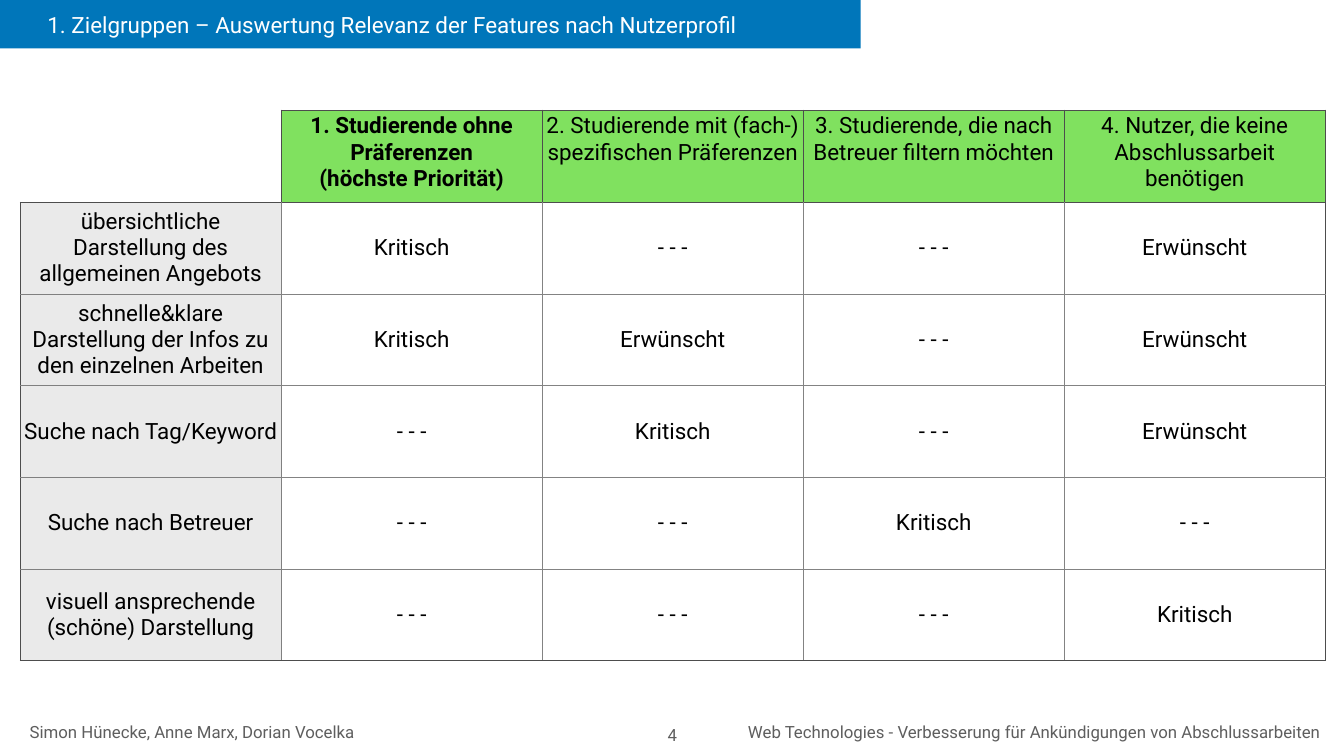
import pptx
import pptx.dml.color
import pptx.enum.shapes
import pptx.enum.text
import pptx.oxml
import pptx.oxml.ns
import pptx.util

RGBColor = pptx.dml.color.RGBColor
ALIGN = pptx.enum.text.PP_ALIGN
ANCHOR = pptx.enum.text.MSO_ANCHOR

PX = 9144
FONT = "Roboto"
BLACK = RGBColor(0x00, 0x00, 0x00)
WHITE = RGBColor(0xFF, 0xFF, 0xFF)
GREY = RGBColor(0x5E, 0x5E, 0x5E)
BLUE = RGBColor(0x00, 0x76, 0xBA)
GREEN = RGBColor(0x80, 0xE1, 0x5F)
LIGHT = RGBColor(0xEA, 0xEA, 0xEA)
DARK_EDGE = RGBColor(0x4D, 0x4D, 0x4D)
LABEL_EDGE = RGBColor(0x80, 0x80, 0x80)
BODY_EDGE = RGBColor(0x83, 0x83, 0x83)

TITLE = "1. Zielgruppen – Auswertung Relevanz der Features nach Nutzerprofil"
FOOTERS = [
    ("Simon Hünecke, Anne Marx, Dorian Vocelka", (42, 1425, 678, 52), ANCHOR.MIDDLE),
    ("Web Technologies - Verbesserung für Ankündigungen von Abschlussarbeiten",
     (1473, 1426, 1158, 50), ANCHOR.MIDDLE),
    ("4", (1319, 1431, 26, 41), ANCHOR.TOP),
]
NONE = "- - -"
MUST = "Kritisch"
WISH = "Erwünscht"
ROWS = [
    ["", "1. Studierende ohne Präferenzen\n(höchste Priorität)",
     "2. Studierende mit (fach-) spezifischen Präferenzen",
     "3. Studierende, die nach Betreuer filtern möchten",
     "4. Nutzer, die keine Abschlussarbeit benötigen"],
    ["übersichtliche Darstellung des allgemeinen Angebots", MUST, NONE, NONE, WISH],
    ["schnelle&klare Darstellung der Infos zu den einzelnen Arbeiten", MUST, WISH, NONE, WISH],
    ["Suche nach Tag/Keyword", NONE, MUST, NONE, WISH],
    ["Suche nach Betreuer", NONE, NONE, MUST, NONE],
    ["visuell ansprechende (schöne) Darstellung", NONE, NONE, NONE, MUST],
]
TABLE_LEFT, TABLE_TOP = 40, 218
COLUMN_WIDTH, HEADER_HEIGHT, ROW_HEIGHT = 518, 183, 182
INSET = 6


def scaled(*lengths):
    return [length * PX for length in lengths]


def set_insets(target, left=INSET):
    target.margin_left = left * PX
    target.margin_top = target.margin_right = target.margin_bottom = INSET * PX


def write(text_frame, text, size, color, align=ALIGN.CENTER, bold=False):
    paragraph = text_frame.paragraphs[0]
    paragraph.alignment = align
    for index, line in enumerate(text.split("\n")):
        if index:
            paragraph.add_line_break()
        run = paragraph.add_run()
        run.text = line
        run.font.name = FONT
        run.font.size = pptx.util.Pt(size)
        run.font.bold = bold
        run.font.color.rgb = color


def edge_colors(row, column):
    last_row, last_column = len(ROWS) - 1, len(ROWS[0]) - 1
    if row == 0 and column == 0:
        return [None, DARK_EDGE, None, DARK_EDGE]
    if row == 0:
        return [DARK_EDGE] * 4
    inner = LABEL_EDGE if column == 0 else BODY_EDGE
    return [
        DARK_EDGE if column == 0 else LABEL_EDGE if column == 1 else inner,
        DARK_EDGE if column == last_column else inner,
        DARK_EDGE if row == 1 else inner,
        DARK_EDGE if row == last_row else inner,
    ]


def set_borders(cell, colors):
    properties = cell._tc.get_or_add_tcPr()
    for index, (side, color) in enumerate(zip("LRTB", colors)):
        paint = (f'<a:solidFill><a:srgbClr val="{color}"/></a:solidFill>'
                 if color else "<a:noFill/>")
        properties.insert(index, pptx.oxml.parse_xml(
            f'<a:ln{side} {pptx.oxml.ns.nsdecls("a")} w="12700">{paint}</a:ln{side}>'))


def add_relevance_table(slide):
    row_count, column_count = len(ROWS), len(ROWS[0])
    height = HEADER_HEIGHT + ROW_HEIGHT * (row_count - 1)
    table = slide.shapes.add_table(
        row_count, column_count,
        *scaled(TABLE_LEFT, TABLE_TOP, COLUMN_WIDTH * column_count, height)).table
    table.first_row = table.horz_banding = False
    for column in table.columns:
        column.width = COLUMN_WIDTH * PX
    for row_index, texts in enumerate(ROWS):
        is_header = row_index == 0
        table.rows[row_index].height = (HEADER_HEIGHT if is_header else ROW_HEIGHT) * PX
        for column_index, text in enumerate(texts):
            cell = table.cell(row_index, column_index)
            set_insets(cell)
            cell.vertical_anchor = ANCHOR.TOP if is_header else ANCHOR.MIDDLE
            if text and (is_header or column_index == 0):
                cell.fill.solid()
                cell.fill.fore_color.rgb = GREEN if is_header else LIGHT
            else:
                cell.fill.background()
            if text:
                write(cell.text_frame, text, 32, BLACK,
                      bold=is_header and column_index == 1)
            set_borders(cell, edge_colors(row_index, column_index))


def add_title_bar(slide):
    shape = slide.shapes.add_shape(
        pptx.enum.shapes.MSO_SHAPE.RECTANGLE, *scaled(0, 0, 1708, 96))
    shape.shadow.inherit = False
    shape.fill.solid()
    shape.fill.fore_color.rgb = BLUE
    shape.line.fill.background()
    set_insets(shape.text_frame, left=94)
    shape.text_frame.vertical_anchor = ANCHOR.MIDDLE
    write(shape.text_frame, TITLE, 32, WHITE, ALIGN.LEFT)


def add_footers(slide):
    for text, box, anchor in FOOTERS:
        text_frame = slide.shapes.add_textbox(*scaled(*box)).text_frame
        text_frame.word_wrap = False
        text_frame.vertical_anchor = anchor
        set_insets(text_frame)
        write(text_frame, text, 24, GREY)


def main():
    presentation = pptx.Presentation()
    presentation.slide_width, presentation.slide_height = scaled(2667, 1500)
    slide = presentation.slides.add_slide(presentation.slide_layouts[6])
    add_relevance_table(slide)
    add_title_bar(slide)
    add_footers(slide)
    presentation.save("out.pptx")


if __name__ == "__main__":
    main()
